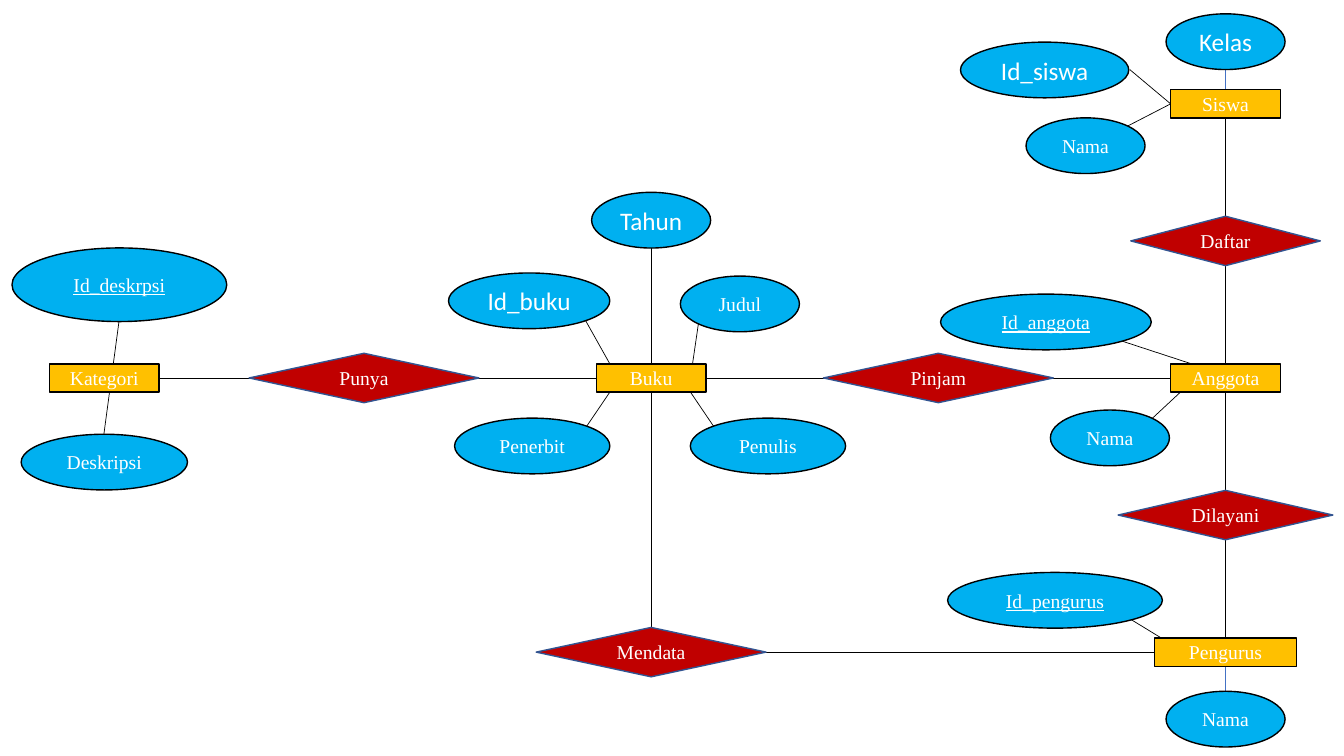
from collections import namedtuple

from lxml import etree
from pptx import Presentation
from pptx import util as u
from pptx.dml.color import RGBColor
from pptx.enum import shapes, text
from pptx.oxml import ns

BLACK = RGBColor(0x00, 0x00, 0x00)
WHITE = RGBColor(0xFF, 0xFF, 0xFF)
AMBER = RGBColor(0xFF, 0xC0, 0x00)
RED = RGBColor(0xC0, 0x00, 0x00)
SKY = RGBColor(0x00, 0xB0, 0xF0)
NAVY = RGBColor(0x32, 0x54, 0x91)
BLUE = RGBColor(0x44, 0x72, 0xC4)

Box = namedtuple("Box", "x y width height")
Style = namedtuple("Style", "preset fill line")
Attribute = namedtuple("Attribute", "label x y width link font height color",
                       defaults=("serif", 39.8, BLACK))

ENTITY = Style(shapes.MSO_SHAPE.RECTANGLE, AMBER, BLACK)
RELATION = Style(shapes.MSO_SHAPE.DIAMOND, RED, NAVY)
ATTRIBUTE = Style(shapes.MSO_SHAPE.OVAL, SKY, BLACK)

SERIF = {"name": "Times New Roman", "size": u.Pt(14)}
FONTS = {
    "serif": SERIF,
    "key": {**SERIF, "underline": True},
    "sans": {"name": "Calibri", "size": u.Pt(18)},
}
FRAME = {"word_wrap": False, "vertical_anchor": text.MSO_ANCHOR.MIDDLE}

LEFT, CENTER, RIGHT = 74.5, 465.1, 875.4
MIDDLE, PITCH = 270, 195.8
TOP, BOTTOM = MIDDLE - PITCH, MIDDLE + PITCH
SIDE, EDGE = 39.2, 10.1
ENTITY_WIDTH, ENTITY_HEIGHT = 2 * SIDE, 2 * EDGE
RELATION_WIDTH, RELATION_HEIGHT = 164.2, 35.3

ENTITIES = {
    "Kategori": Box(LEFT, MIDDLE, ENTITY_WIDTH, ENTITY_HEIGHT),
    "Buku": Box(CENTER, MIDDLE, ENTITY_WIDTH, ENTITY_HEIGHT),
    "Siswa": Box(RIGHT, TOP, ENTITY_WIDTH, ENTITY_HEIGHT),
    "Anggota": Box(RIGHT, MIDDLE, ENTITY_WIDTH, ENTITY_HEIGHT),
    "Pengurus": Box(RIGHT, BOTTOM, 101.8, ENTITY_HEIGHT),
}
RELATIONS = {
    "Punya": Box(260, MIDDLE, RELATION_WIDTH, RELATION_HEIGHT),
    "Pinjam": Box((CENTER + RIGHT) / 2, MIDDLE, RELATION_WIDTH, RELATION_HEIGHT),
    "Mendata": Box(CENTER, BOTTOM, RELATION_WIDTH, RELATION_HEIGHT),
    "Daftar": Box(RIGHT, MIDDLE - PITCH / 2, 135.4, RELATION_HEIGHT),
    "Dilayani": Box(RIGHT, MIDDLE + PITCH / 2, 153.4, RELATION_HEIGHT),
}
PATHS = [("Kategori", "Punya", "Buku", "Pinjam", "Anggota"),
         ("Siswa", "Daftar", "Anggota", "Dilayani", "Pengurus"),
         ("Buku", "Mendata", "Pengurus")]
ATTRIBUTES = {
    "Kategori": [
        Attribute("Id_deskrpsi", 10.8, -66.6, 153.4, (10.5, -40.3, -0.3, 40.3), "key", 52.6),
        Attribute("Deskripsi", 0, 60.1, 118.8, None),
    ],
    "Buku": [
        Attribute("Id_buku", -87.1, -55.1, 115.2, (-46.8, -41, -29.5, -EDGE), "sans"),
        Attribute("Judul", 63.4, -52.9, 85, (33.9, -39.6, 28.1, 0)),
        Attribute("Tahun", 0, -112.7, 85, (0, -92.9, 0, -EDGE), "sans"),
        Attribute("Penerbit", -84.9, 48.6, 110.9, (-46.1, 34.6, -29.5, EDGE)),
        Attribute("Penulis", 83.5, 48.6, 110.9, (44.7, 34.6, 28.1, EDGE)),
    ],
    "Siswa": [
        Attribute("Id_siswa", -129.2, -24.2, 120.2, (-68.4, -24.5, -SIDE, 0), "sans"),
        Attribute("Nama", -100, 29.9, 85, (-69.8, 15.8, -SIDE, 0)),
        Attribute("Kelas", 0, -44.4, 85, (0, -EDGE, 0, -24.5), "sans", color=BLUE),
    ],
    "Anggota": [
        Attribute("Id_anggota", -128.3, -40, 150.5, (-74.7, -26.6, -24.3, -EDGE), "key"),
        Attribute("Nama", -82.6, 42.8, 85, (-52.3, 28.8, -32.2, EDGE)),
    ],
    "Pengurus": [
        Attribute("Id_pengurus", -121.8, -37, 153.4, (-68.2, -23.7, -45.9, -EDGE), "key"),
        Attribute("Nama", 0, 47.9, 85, (0, 28.1, 0, EDGE), color=BLUE),
    ],
}


def apply(target, values):
    """Set every named attribute on the target."""
    for name, value in values.items():
        setattr(target, name, value)


def add_line(page, start_x, start_y, end_x, end_y, color=BLACK):
    """Draw a thin straight line without a shadow."""
    ends = [u.Pt(value) for value in (start_x, start_y, end_x, end_y)]
    line = page.shapes.add_connector(shapes.MSO_CONNECTOR.STRAIGHT, *ends)
    line.line.color.rgb = color
    line.line.width = u.Pt(0.5)
    etree.SubElement(line._element.spPr, ns.qn("a:effectLst"))


def add_node(page, box, label, style, font="serif"):
    """Draw a labelled shape centred on the box position."""
    node = page.shapes.add_shape(
        style.preset, u.Pt(box.x - box.width / 2), u.Pt(box.y - box.height / 2),
        u.Pt(box.width), u.Pt(box.height))
    node.shadow.inherit = False
    node.fill.solid()
    node.fill.fore_color.rgb = style.fill
    node.line.color.rgb = style.line
    node.line.width = u.Pt(1)
    apply(node.text_frame, FRAME)
    para = node.text_frame.paragraphs[0]
    para.alignment = text.PP_ALIGN.CENTER
    span = para.add_run()
    span.text = label
    apply(span.font, FONTS[font])
    span.font.color.rgb = WHITE


def add_paths(page):
    """Join entities and relations along each path."""
    nodes = {**ENTITIES, **RELATIONS}
    for path in PATHS:
        for first, second in zip(path, path[1:]):
            start, end = nodes[first], nodes[second]
            add_line(page, start.x, start.y, end.x, end.y)


def add_cluster(page, box, entity, attributes):
    """Draw an entity and its attributes around the entity box."""
    for item in attributes:
        if item.link:
            start_x, start_y, end_x, end_y = item.link
            add_line(page, box.x + start_x, box.y + start_y,
                     box.x + end_x, box.y + end_y, item.color)
    add_node(page, box, entity, ENTITY)
    for item in attributes:
        place = Box(box.x + item.x, box.y + item.y, item.width, item.height)
        add_node(page, place, item.label, ATTRIBUTE, item.font)


def build_diagram(page):
    """Place the paths, clusters and relations on the page."""
    add_paths(page)
    for entity, box in ENTITIES.items():
        add_cluster(page, box, entity, ATTRIBUTES[entity])
    for relation, box in RELATIONS.items():
        add_node(page, box, relation, RELATION)


deck = Presentation()
deck.slide_width, deck.slide_height = u.Pt(960), u.Pt(540)
build_diagram(deck.slides.add_slide(deck.slide_layouts[6]))
deck.save("out.pptx")
